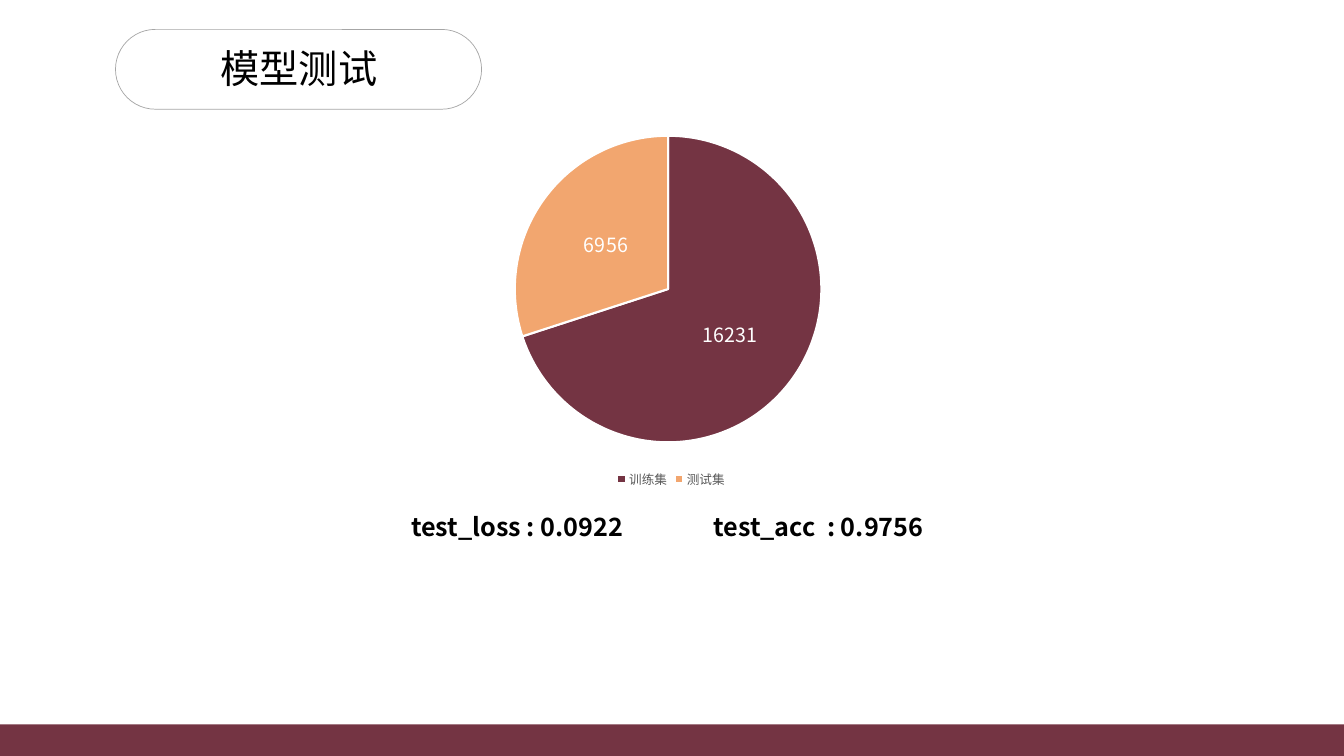
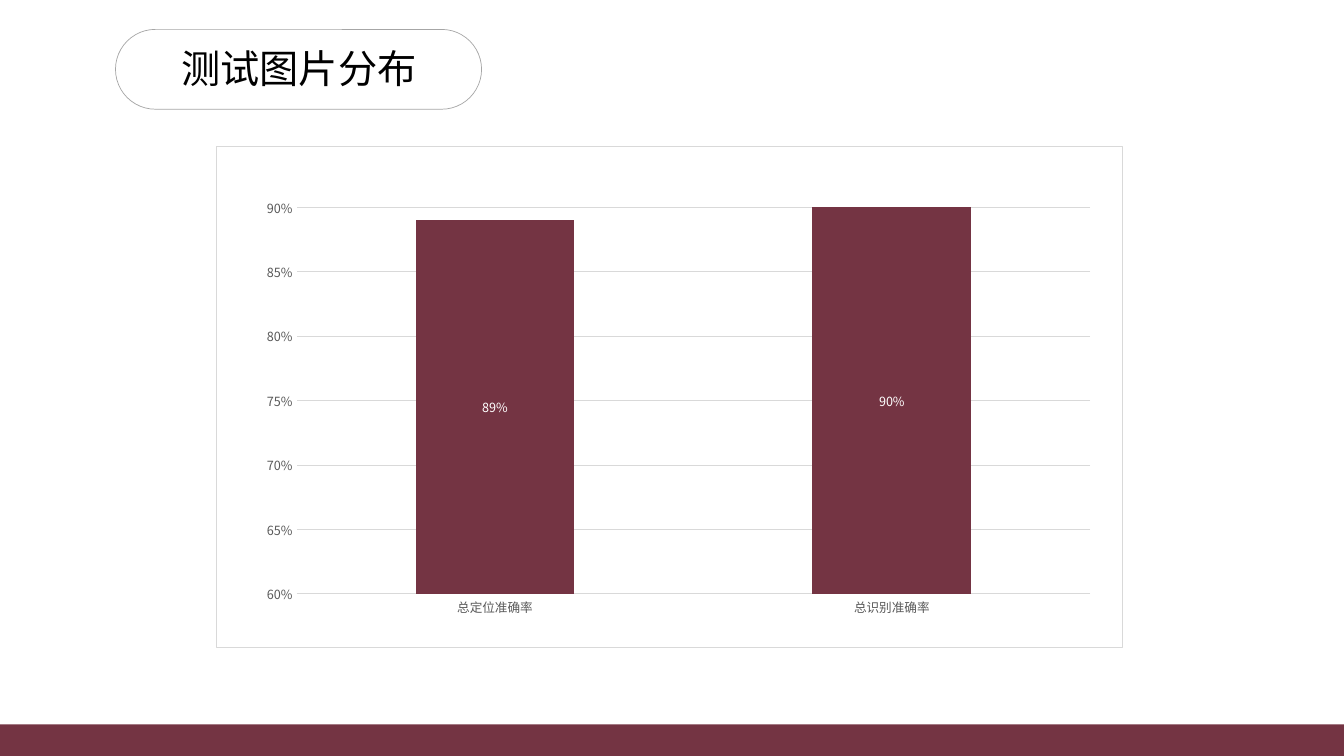
from typing import NamedTuple

from lxml.etree import SubElement
from pptx import Presentation
from pptx.chart.data import CategoryChartData as Data
from pptx.dml.color import RGBColor
from pptx.enum.chart import (
    XL_CHART_TYPE as Kind,
    XL_LABEL_POSITION as Spot,
    XL_LEGEND_POSITION as Side,
    XL_TICK_MARK as Tick,
)
from pptx.enum.shapes import MSO_SHAPE as Form
from pptx.enum.text import MSO_ANCHOR as Anchor, PP_ALIGN as Align
from pptx.oxml import parse_xml
from pptx.oxml.ns import nsdecls, qn
from pptx.util import Pt

FACE = "Noto Sans CJK SC"
WINE, PEACH = "743443", "F2A66F"
WHITE, BLACK = "FFFFFF", "000000"
TEXT, RULE, EDGE = "595959", "D9D9D9", "A6A6A6"


class Box(NamedTuple):
    left: float
    top: float
    width: float
    height: float

    def place(self) -> tuple:
        return tuple(Pt(side) for side in self)


class Slice(NamedTuple):
    name: str
    share: float
    label: str
    fill: str


class Bar(NamedTuple):
    name: str
    rate: float


PILL = Box(82.5, 21, 261.5, 57)
TITLE = Box(92, 28, 243, 41)
BAND = Box(0, 517.5, 960, 22.5)

SLICES = [Slice("训练集", 70, "16231", WINE), Slice("测试集", 30, "6956", PEACH)]
BARS = [Bar("总定位准确率", 0.89), Bar("总识别准确率", 0.9)]


def tint(code: str) -> RGBColor:
    return RGBColor.from_string(code)


def paint(item, code: str) -> None:
    item.fill.solid()
    item.fill.fore_color.rgb = tint(code)


def stroke(line, code: str, width: float) -> None:
    line.color.rgb = tint(code)
    line.width = Pt(width)


def style(font, size: float, code: str, bold: bool = False) -> None:
    font.size, font.bold, font.name = Pt(size), bold, FACE
    font.color.rgb = tint(code)
    east = parse_xml(f'<a:ea {nsdecls("a")} typeface="{FACE}"/>')
    font._rPr.find(qn("a:latin")).addnext(east)


def write(frame, text: str, *, size: float, code: str = BLACK, bold: bool = False,
          align=Align.LEFT, anchor=Anchor.TOP, tab: float = 0) -> None:
    frame.word_wrap = True
    frame.vertical_anchor = anchor
    para = frame.paragraphs[0]
    para.alignment = align
    if tab:
        stops = SubElement(para._p.get_or_add_pPr(), qn("a:tabLst"))
        SubElement(stops, qn("a:tab"), pos=str(Pt(tab)), algn="l")
    run = para.add_run()
    run.text = text
    style(run.font, size, code, bold)


def block(slide, form, box: Box):
    shape = slide.shapes.add_shape(form, *box.place())
    shape.shadow.inherit = False
    return shape


def start(deck, text: str):
    slide = deck.slides.add_slide(deck.slide_layouts[5])
    paint(slide.background, WHITE)
    pill = block(slide, Form.ROUNDED_RECTANGLE, PILL)
    pill.adjustments[0] = 0.5
    pill.fill.background()
    stroke(pill.line, EDGE, 0.5)
    title = slide.shapes.title
    title.left, title.top, title.width, title.height = TITLE.place()
    write(title.text_frame, text, size=28, align=Align.CENTER, anchor=Anchor.MIDDLE)
    band = block(slide, Form.RECTANGLE, BAND)
    paint(band, WINE)
    band.line.fill.background()
    return slide


def graph(slide, kind, box: Box, names: list, values: list, inner: Box):
    data = Data()
    data.categories = names
    data.add_series("Series 1", values)
    chart = slide.shapes.add_chart(kind, *box.place(), data).chart
    chart.has_title = False
    style(chart.font, 10, BLACK)
    area = chart._chartSpace.chart.plotArea
    for old in area.findall(qn("c:layout")):
        area.remove(old)
    parts = zip("xywh", inner)
    sizes = "".join(f'<c:{key} val="{val}"/>' for key, val in parts)
    area.insert(0, parse_xml(
        f'<c:layout {nsdecls("c")}><c:manualLayout><c:layoutTarget val="inner"/>'
        f'<c:xMode val="edge"/><c:yMode val="edge"/>{sizes}'
        "</c:manualLayout></c:layout>"))
    return chart


def frame(chart, code: str, width: float) -> None:
    chart._chartSpace.chart.addnext(parse_xml(
        f'<c:spPr {nsdecls("c", "a")}><a:noFill/><a:ln w="{Pt(width)}"><a:solidFill>'
        f'<a:srgbClr val="{code}"/></a:solidFill></a:ln></c:spPr>'))


def pie(slide) -> None:
    chart = graph(slide, Kind.PIE, Box(256, 83, 447, 268.5),
                  [part.name for part in SLICES], [part.share for part in SLICES],
                  Box(0.25, 0.05, 0.49, 0.82))
    chart.has_legend = True
    chart.legend.position = Side.BOTTOM
    chart.legend.include_in_layout = False
    style(chart.legend.font, 9, TEXT)
    row = chart.plots[0].series[0]
    for at, part in enumerate(SLICES):
        point = row.points[at]
        paint(point.format, part.fill)
        stroke(point.format.line, WHITE, 1.5)
        label = point.data_label
        write(label.text_frame, part.label, size=14, code=WHITE, align=Align.CENTER)
        label.position = Spot.CENTER


def bars(slide) -> None:
    chart = graph(slide, Kind.COLUMN_STACKED, Box(154.5, 104, 648, 359),
                  [bar.name for bar in BARS], [bar.rate for bar in BARS],
                  Box(0.088, 0.045, 0.876, 0.848))
    chart.has_legend = False
    frame(chart, RULE, 0.75)
    plot = chart.plots[0]
    plot.gap_width, plot.overlap, plot.vary_by_categories = 150, 100, False
    paint(plot.series[0].format, WINE)
    plot.has_data_labels = True
    labels = plot.data_labels
    labels.show_value = True
    labels.number_format, labels.number_format_is_linked = "0%", False
    labels.position = Spot.CENTER
    style(labels.font, 9, WHITE)
    names, rates = chart.category_axis, chart.value_axis
    for axis in (names, rates):
        axis.major_tick_mark = axis.minor_tick_mark = Tick.NONE
        style(axis.tick_labels.font, 9, TEXT)
    stroke(names.format.line, RULE, 0.75)
    rates.format.line.fill.background()
    rates.minimum_scale, rates.maximum_scale, rates.major_unit = 0.6, 0.93, 0.05
    rates.has_major_gridlines = True
    stroke(rates.major_gridlines.format.line, RULE, 0.75)
    rates.tick_labels.number_format = "0%"
    rates.tick_labels.number_format_is_linked = False


def main() -> None:
    deck = Presentation()
    deck.slide_width, deck.slide_height = Pt(960), Pt(540)
    test = start(deck, "模型测试")
    score = test.shapes.add_textbox(*Box(286.5, 362, 387, 29).place())
    write(score.text_frame, "test_loss : 0.0922\ttest_acc  : 0.9756",
          size=18, bold=True, tab=216)
    pie(test)
    bars(start(deck, "测试图片分布"))
    deck.save("out.pptx")


if __name__ == "__main__":
    main()
